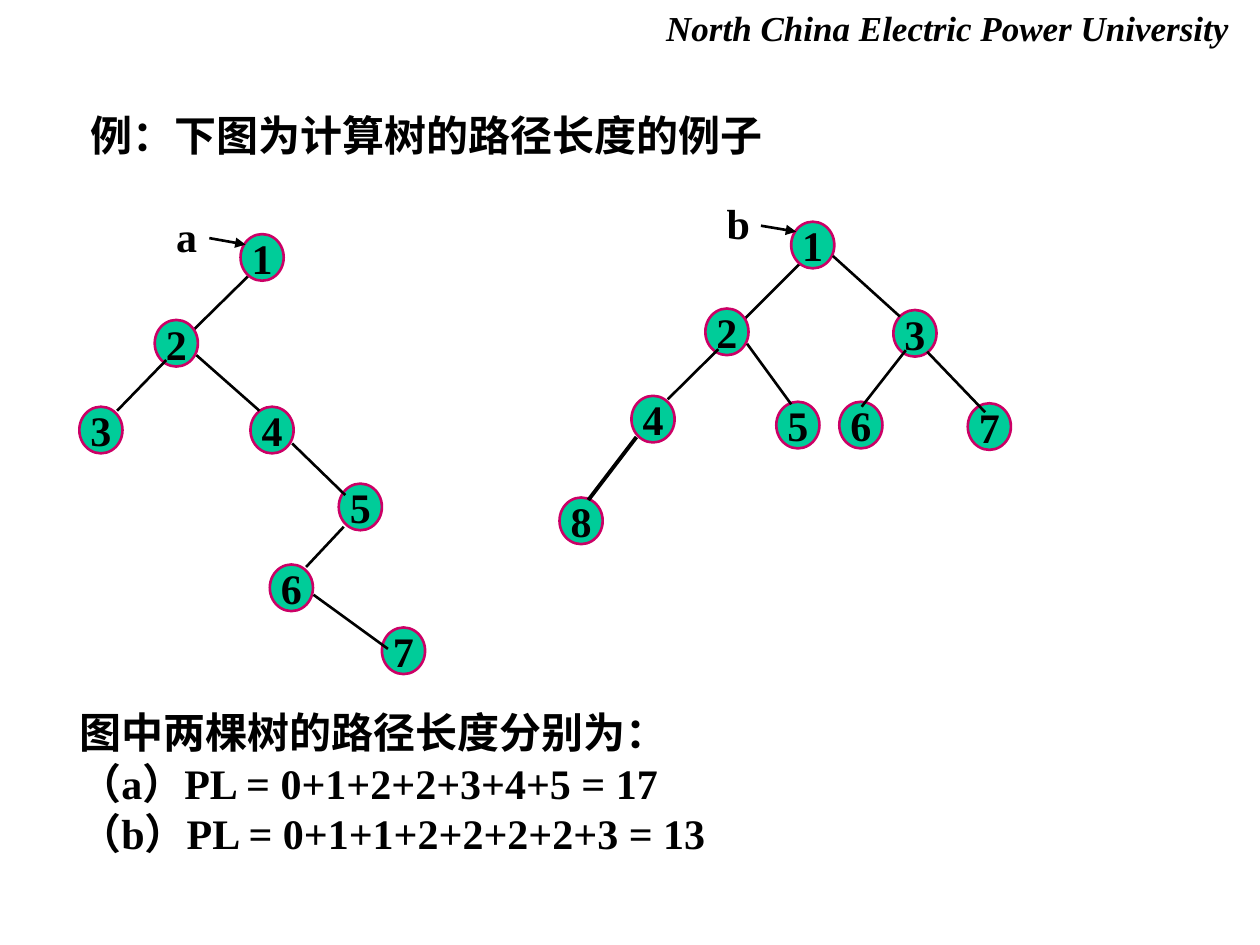
import pptx
import pptx.util
import pptx.dml.color
import pptx.enum.shapes
import pptx.enum.text
import pptx.oxml.ns
import lxml.etree

Cm = pptx.util.Cm
Pt = pptx.util.Pt
RGBColor = pptx.dml.color.RGBColor
Align = pptx.enum.text.PP_ALIGN
BLACK = RGBColor(0x00, 0x00, 0x00)
GREEN = RGBColor(0x00, 0xCC, 0x99)
PINK = RGBColor(0xCC, 0x00, 0x66)


def write(shape, lines, align=Align.CENTER, size=24, wrap=False, slant=None):
    frame = shape.text_frame
    frame.text = "\n".join(lines)
    frame.word_wrap = wrap
    for para in frame.paragraphs:
        para.alignment = align
        para.font.name = "Times New Roman"
        para.font.size = Pt(size)
        para.font.bold = True
        para.font.italic = slant
        para.font.color.rgb = BLACK


def join(group, ends, width=1.5):
    line = group.shapes.add_connector(
        pptx.enum.shapes.MSO_CONNECTOR.STRAIGHT, *[Cm(end) for end in ends])
    line.line.color.rgb = BLACK
    line.line.width = Pt(width)
    lxml.etree.SubElement(line._element.spPr, pptx.oxml.ns.qn("a:effectLst"))
    return line


deck = pptx.Presentation()
deck.slide_width = Cm(25.4)
deck.slide_height = Cm(19.05)
slide = deck.slides.add_slide(deck.slide_layouts[6])

texts = [
    ((1.57, 2.08, 14.05, 1.27), ["例：下图为计算树的路径长度的例子"], {}),
    ((1.35, 14.12, 23.11, 3.3),
     ["图中两棵树的路径长度分别为：",
      "（a）PL = 0+1+2+2+3+4+5 = 17",
      "（b）PL = 0+1+1+2+2+2+2+3 = 13"],
     {"align": Align.LEFT, "wrap": True}),
    ((13.18, 0, 11.86, 1.12), ["North China Electric Power University"],
     {"align": Align.LEFT, "size": 20, "slant": True}),
]
for place, lines, style in texts:
    box = slide.shapes.add_textbox(*[Cm(n) for n in place])
    write(box, lines, **style)
    box.text_frame.auto_size = pptx.enum.text.MSO_AUTO_SIZE.SHAPE_TO_FIT_TEXT

trees = [
    {
        "name": "a",
        "label": (3.3, 4.11, 0.91, 1.27),
        "arrow": (4.22, 4.8, 4.95, 4.93),
        "nodes": [(4.85, 4.72), (3.12, 6.45), (1.6, 8.2), (5.05, 8.2),
                  (6.83, 9.75), (5.44, 11.38), (7.7, 12.65)],
        "edges": [(5.03, 5.54, 3.84, 6.71), (3.35, 7.26, 2.36, 8.28),
                  (3.96, 7.16, 5.23, 8.28), (5.89, 8.94, 6.96, 9.98),
                  (6.93, 10.62, 6.17, 11.43), (6.32, 11.99, 7.82, 13.08)],
        "thick": [],
    },
    {
        "name": "b",
        "label": (14.4, 3.86, 0.97, 1.27),
        "arrow": (15.34, 4.55, 16.05, 4.67),
        "nodes": [(15.95, 4.47), (14.22, 6.22), (18.01, 6.25), (12.73, 7.98),
                  (15.65, 8.1), (16.92, 8.1), (19.51, 8.13), (11.28, 10.03)],
        "edges": [(16.13, 5.31, 14.96, 6.48), (14.48, 7.04, 13.46, 8.05),
                  (15.06, 6.93, 15.95, 8.15), (16.79, 5.16, 18.14, 6.38),
                  (18.26, 7.06, 17.37, 8.2), (18.69, 7.09, 19.86, 8.31)],
        "thick": [(12.83, 8.81, 11.86, 10.08)],
    },
]
for tree in trees:
    group = slide.shapes.add_group_shape()
    join(group, tree["edges"][0])
    for key, (left, top) in enumerate(tree["nodes"], 1):
        node = group.shapes.add_shape(
            pptx.enum.shapes.MSO_SHAPE.OVAL,
            Cm(left), Cm(top), Cm(0.87), Cm(0.94))
        node.shadow.inherit = False
        node.fill.solid()
        node.fill.fore_color.rgb = GREEN
        node.line.color.rgb = PINK
        node.line.width = Pt(1.5)
        write(node, [str(key)])
        node.text_frame.vertical_anchor = pptx.enum.text.MSO_ANCHOR.MIDDLE
    for edge in tree["edges"][1:]:
        join(group, edge)
    for edge in tree["thick"]:
        join(group, edge, 2.25)
    arrow = join(group, tree["arrow"])
    lxml.etree.SubElement(
        arrow.line._get_or_add_ln(), pptx.oxml.ns.qn("a:tailEnd"), type="triangle")
    label = group.shapes.add_textbox(*[Cm(n) for n in tree["label"]])
    write(label, [tree["name"]])
    label.text_frame.auto_size = pptx.enum.text.MSO_AUTO_SIZE.SHAPE_TO_FIT_TEXT

deck.save("out.pptx")
